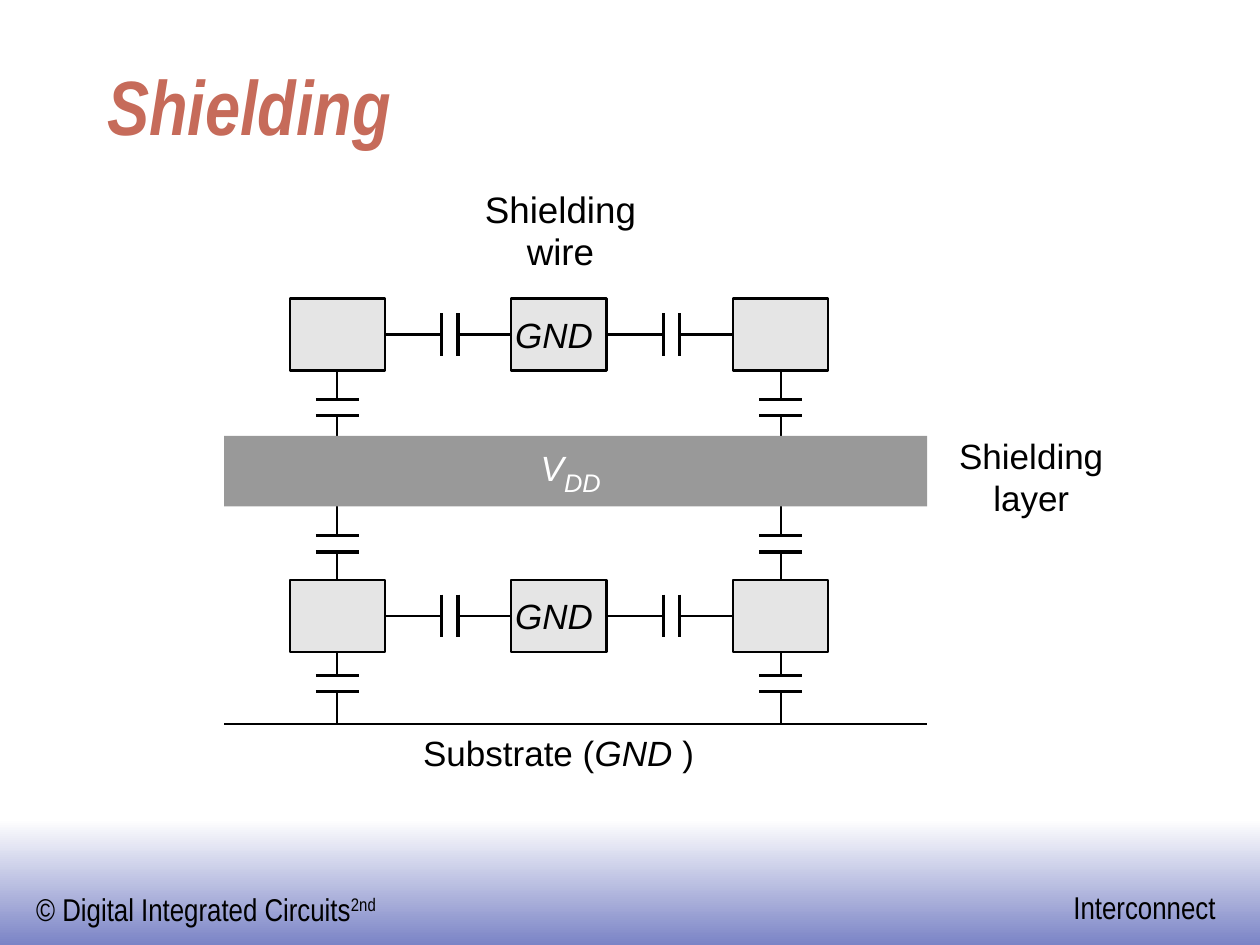
from dataclasses import dataclass

import lxml.etree
import pptx
import pptx.dml.color
import pptx.enum.shapes
import pptx.enum.text
import pptx.oxml.ns
import pptx.util

Cm = pptx.util.Cm
Pt = pptx.util.Pt
RECTANGLE = pptx.enum.shapes.MSO_SHAPE.RECTANGLE
STRAIGHT = pptx.enum.shapes.MSO_CONNECTOR.STRAIGHT
ALIGN = pptx.enum.text.PP_ALIGN
ANCHOR = pptx.enum.text.MSO_ANCHOR


def color(value):
    return pptx.dml.color.RGBColor.from_string(value)


@dataclass(frozen=True)
class Theme:
    ink: object = color("000000")
    paper: object = color("FFFFFF")
    title: object = color("C66B5A")
    wire: object = color("E5E5E5")
    shield: object = color("999999")
    footer: object = color("7B84C6")
    body_font: str = "Arial"
    narrow_font: str = "Arial Narrow"
    title_size: object = Pt(44)
    heading_size: object = Pt(21)
    label_size: object = Pt(20)
    subscript_size: object = Pt(25)
    footer_size: object = Pt(18)
    thin: object = Pt(1.25)
    thick: object = Pt(1.87)


THEME = Theme()
WIRE_WIDTH, WIRE_HEIGHT = 1.92, 1.45
WIRE_COLUMNS = [5.84 + 4.47 * column for column in range(3)]
WIRE_ROWS = [6.02, 11.69]
BAND_LEFT, BAND_TOP, BAND_WIDTH, BAND_HEIGHT = 4.52, 8.79, 14.17, 1.42
SUBSTRATE_TOP = 14.6
PLATE_GAP, PLATE_HALF = 0.33, 0.43


def style_font(font, size, name=THEME.body_font, ink=THEME.ink, italic=False, bold=False):
    font.name, font.size, font.italic, font.bold = name, size, italic, bold
    font.color.rgb = ink


def set_insets(frame, left=0, top=0, right=0, bottom=0):
    frame.margin_left, frame.margin_top = Cm(left), Cm(top)
    frame.margin_right, frame.margin_bottom = Cm(right), Cm(bottom)


def add_span(para, text, baseline=None):
    span = para.add_run()
    span.text = text
    if baseline is not None:
        span.font._element.set("baseline", str(baseline))
    return span


def add_text(page, left, top, width, height, lines, size, align=ALIGN.LEFT, **style):
    box = page.shapes.add_textbox(Cm(left), Cm(top), Cm(width), Cm(height))
    frame = box.text_frame
    frame.word_wrap = False
    set_insets(frame)
    for index, line in enumerate(lines):
        para = frame.add_paragraph() if index else frame.paragraphs[0]
        add_span(para, line)
        para.alignment = align
        style_font(para.font, size, **style)
    return box


def add_block(page, left, top, width, height, fill=None, outlined=False):
    block = page.shapes.add_shape(RECTANGLE, Cm(left), Cm(top), Cm(width), Cm(height))
    block.shadow.inherit = False
    if fill is not None:
        block.fill.solid()
        block.fill.fore_color.rgb = fill
    if outlined:
        block.line.color.rgb = THEME.ink
        block.line.width = THEME.thin
    else:
        block.line.fill.background()
    return block


def add_block_label(block, text, ink, bottom=0):
    frame = block.text_frame
    frame.word_wrap = False
    frame.vertical_anchor = ANCHOR.MIDDLE
    set_insets(frame, right=0.2, bottom=bottom)
    para = frame.paragraphs[0]
    para.alignment = ALIGN.CENTER
    add_span(para, text)
    style_font(para.font, THEME.label_size, ink=ink, italic=True)
    return para


def add_line(page, start, end, width=THEME.thin):
    line = page.shapes.add_connector(STRAIGHT, *(Cm(value) for value in (*start, *end)))
    line.line.color.rgb = THEME.ink
    line.line.width = width
    properties = line._element.spPr
    lxml.etree.SubElement(properties, pptx.oxml.ns.qn("a:effectLst"))


def add_capacitor(page, start, plate, end, center, vertical=False):
    def point(along, across):
        return (across, along) if vertical else (along, across)

    far_plate = plate + PLATE_GAP
    for lead_start, lead_end in ((start, plate), (far_plate, end)):
        add_line(page, point(lead_start, center), point(lead_end, center))
    for along in (plate, far_plate):
        add_line(page, point(along, center - PLATE_HALF),
                 point(along, center + PLATE_HALF), THEME.thick)


def add_footer(page):
    bar = add_block(page, 0, 16.51, 25.4, 2.54)
    bar.fill.gradient()
    bar.fill.gradient_angle = 270
    for stop, shade in zip(bar.fill.gradient_stops, (THEME.paper, THEME.footer)):
        stop.color.rgb = shade
    style = {"size": THEME.footer_size, "name": THEME.narrow_font}
    credit = add_text(page, 0.73, 17.94, 7.4, 0.76, ["© Digital Integrated Circuits"], **style)
    add_span(credit.text_frame.paragraphs[0], "2nd", 30000)
    add_text(page, 21.64, 17.91, 3.4, 0.76, ["Interconnect"], **style)


def add_wires(page):
    for top in WIRE_ROWS:
        for column, left in enumerate(WIRE_COLUMNS):
            wire = add_block(page, left, top, WIRE_WIDTH, WIRE_HEIGHT, THEME.wire, True)
            if column == 1:
                add_block_label(wire, "GND", THEME.ink)
        for left, following in zip(WIRE_COLUMNS, WIRE_COLUMNS[1:]):
            start = left + WIRE_WIDTH
            add_capacitor(page, start, start + 1.14, following, top + WIRE_HEIGHT / 2)


def add_vertical_capacitors(page):
    upper, lower = WIRE_ROWS
    spans = [
        (upper + WIRE_HEIGHT, 8.05, BAND_TOP),
        (BAND_TOP + BAND_HEIGHT, 10.8, lower),
        (lower + WIRE_HEIGHT, 13.61, SUBSTRATE_TOP),
    ]
    for left in (WIRE_COLUMNS[0], WIRE_COLUMNS[-1]):
        for start, plate, end in spans:
            add_capacitor(page, start, plate, end, left + WIRE_WIDTH / 2, vertical=True)


def add_shield(page):
    band = add_block(page, BAND_LEFT, BAND_TOP, BAND_WIDTH, BAND_HEIGHT, THEME.shield)
    para = add_block_label(band, "V", THEME.paper, bottom=0.15)
    add_span(para, "DD", -25000).font.size = THEME.subscript_size


def add_substrate(page):
    add_line(page, (BAND_LEFT, SUBSTRATE_TOP), (BAND_LEFT + BAND_WIDTH, SUBSTRATE_TOP))
    label = add_text(page, 8.53, 14.75, 6.5, 0.84, ["Substrate ("], THEME.label_size)
    para = label.text_frame.paragraphs[0]
    add_span(para, "GND").font.italic = True
    add_span(para, " )")


def main():
    deck = pptx.Presentation()
    deck.slide_width, deck.slide_height = Cm(25.4), Cm(19.05)
    page = deck.slides.add_slide(deck.slide_layouts[6])
    add_footer(page)
    title = add_text(page, 1.91, 0.64, 21.59, 2.54, ["Shielding"], THEME.title_size,
                     name=THEME.narrow_font, ink=THEME.title, italic=True, bold=True)
    title.text_frame.word_wrap = True
    title.text_frame.vertical_anchor = ANCHOR.BOTTOM
    set_insets(title.text_frame, 0.25, 0.13, 0.25, 0.13)
    add_wires(page)
    add_vertical_capacitors(page)
    add_shield(page)
    add_substrate(page)
    heading = add_text(page, 9.4, 3.84, 3.8, 1.7, ["Shielding", "wire"],
                       THEME.heading_size, ALIGN.CENTER)
    for para in heading.text_frame.paragraphs:
        para.line_spacing = 0.95
    add_text(page, 18.99, 8.76, 3.6, 1.65, ["Shielding", "layer"],
             THEME.label_size, ALIGN.CENTER)
    deck.save("out.pptx")


if __name__ == "__main__":
    main()
